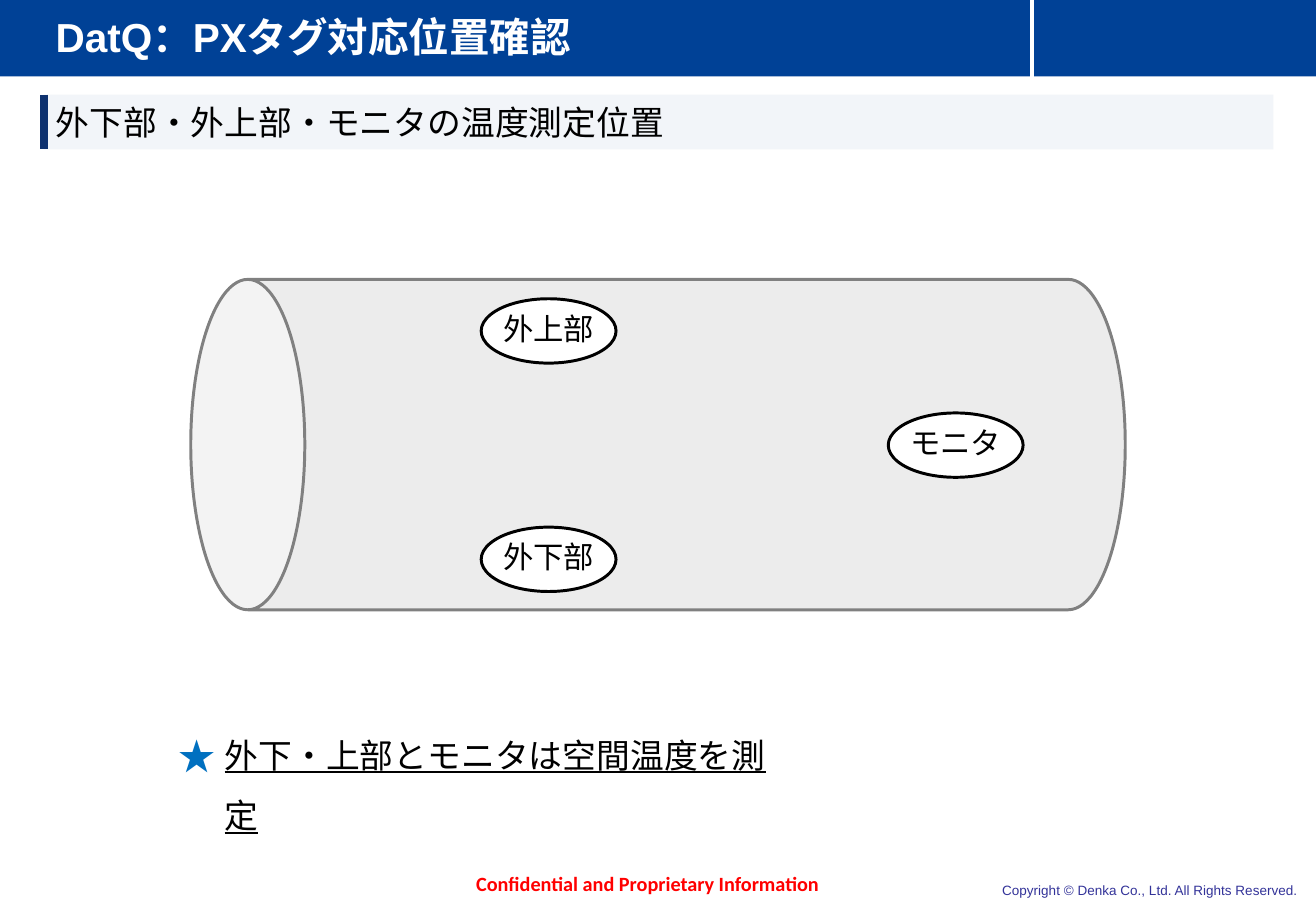
from lxml import etree
from pptx import Presentation
from pptx.dml.color import RGBColor
from pptx.enum.shapes import MSO_CONNECTOR, MSO_SHAPE
from pptx.enum.text import MSO_ANCHOR, PP_ALIGN
from pptx.oxml.ns import qn
from pptx.util import Inches, Pt

LEFT, CENTER, RIGHT = PP_ALIGN.LEFT, PP_ALIGN.CENTER, PP_ALIGN.RIGHT
MIDDLE = MSO_ANCHOR.MIDDLE
RECTANGLE, OVAL, CAN = MSO_SHAPE.RECTANGLE, MSO_SHAPE.OVAL, MSO_SHAPE.CAN
STRAIGHT = MSO_CONNECTOR.STRAIGHT
JAPANESE_FONT = "Noto Sans CJK JP"
COLORS = {
    "header": "004196", "white": "FFFFFF", "band": "F2F5F9", "accent": "0E326F",
    "black": "000000", "pipe": "BFBFBF", "pipe_edge": "808080", "star": "0070C0",
    "warning": "FF0000", "copyright": "333399",
}


def color(name):
    """Return the named colour of the palette."""
    return RGBColor.from_string(COLORS[name])


def add_block(slide, kind, box, fill, edge=None):
    """Add a filled preset shape with an optional outline."""
    block = slide.shapes.add_shape(kind, *map(Inches, box))
    block.shadow.inherit = False
    block.fill.solid()
    block.fill.fore_color.rgb = color(fill)
    if edge:
        block.line.color.rgb = color(edge)
        block.line.width = Pt(1.75)
    else:
        block.line.fill.background()
    return block


def add_rule(slide, x, top, bottom, tint, width):
    """Add a vertical line."""
    rule = slide.shapes.add_connector(STRAIGHT, *map(Inches, (x, top, x, bottom)))
    rule.line.color.rgb = color(tint)
    rule.line.width = Pt(width)
    etree.SubElement(rule._element.spPr, qn("a:effectLst"))


def add_star_bullet(paragraph, indent):
    """Give a paragraph a coloured star bullet with a hanging indent."""
    properties = paragraph._p.get_or_add_pPr()
    properties.set("marL", str(Inches(indent)))
    properties.set("indent", str(-Inches(indent)))
    tint = etree.SubElement(properties, qn("a:buClr"))
    etree.SubElement(tint, qn("a:srgbClr"), val=COLORS["star"])
    etree.SubElement(properties, qn("a:buSzPct"), val="110000")
    etree.SubElement(properties, qn("a:buFont"), typeface=JAPANESE_FONT)
    etree.SubElement(properties, qn("a:buChar"), char="★")


def write(holder, text, size, tint="black", face="Arial", asian=JAPANESE_FONT, bold=False,
          underline=False, align=LEFT, spacing=None, inset=None, star_indent=None):
    """Write one formatted paragraph into a shape."""
    frame = holder.text_frame
    frame.word_wrap = True
    frame.vertical_anchor = MIDDLE
    if inset is not None:
        frame.margin_left = frame.margin_right = Inches(inset)
        frame.margin_top = frame.margin_bottom = Inches(inset)
    paragraph = frame.paragraphs[0]
    if star_indent:
        add_star_bullet(paragraph, star_indent)
    paragraph.alignment = align
    if spacing:
        paragraph.line_spacing = spacing
    run = paragraph.add_run()
    run.text = text
    font = run.font
    font.size, font.name, font.bold, font.underline = Pt(size), face, bold, underline
    font.color.rgb = color(tint)
    latin = run._r.get_or_add_rPr().find(qn("a:latin"))
    latin.addnext(latin.makeelement(qn("a:ea"), {"typeface": asian}))


def add_label(slide, box, text, size, **style):
    """Add a text box holding one paragraph."""
    write(slide.shapes.add_textbox(*map(Inches, box)), text, size, **style)


def add_header(slide, box):
    """Draw the title bar with its divider."""
    left, top, width, height = box
    add_block(slide, RECTANGLE, box, "header")
    add_rule(slide, left + 8.5, top, top + 0.75, "white", 2.25)
    add_label(slide, (left + 0.37, top, 7.77, height), "DatQ：PXタグ対応位置確認", 24,
              tint="white", bold=True)


def add_section_heading(slide, box):
    """Draw the pale heading band with its accent edge."""
    left, top, width, height = box
    band = add_block(slide, RECTANGLE, box, "band")
    write(band, "外下部・外上部・モニタの温度測定位置", 20, face=JAPANESE_FONT)
    add_rule(slide, left, top, top + height, "accent", 5)


def add_pipe(slide, box):
    """Draw the lying pipe with its measuring points."""
    left, top, width, height = box
    upright = (left + (width - height) / 2, top + (height - width) / 2, height, width)
    pipe = add_block(slide, CAN, upright, "pipe", "pipe_edge")
    pipe.rotation = 270
    pipe.adjustments[0] = 0.345
    tint = pipe._element.spPr.find(qn("a:solidFill"))[0]
    etree.SubElement(tint, qn("a:alpha"), val="29000")
    points = (("外上部", 2.39, 0.16), ("外下部", 2.39, 2.04), ("モニタ", 5.74, 1.1))
    for name, across, down in points:
        point = add_block(slide, OVAL, (left + across, top + down, 1.11, 0.53),
                          "white", "black")
        write(point, name, 18, align=CENTER, spacing=0.85, inset=0)


def add_footer(slide, box):
    """Write the confidentiality mark and the copyright line."""
    left, top, width, height = box
    add_label(slide, (left, top, 3.19, height), "Confidential and Proprietary Information", 12,
              tint="warning", face="Calibri", bold=True, spacing=0.85)
    add_label(slide, (left + width - 3.47, top + 0.06, 3.47, 0.24),
              "Copyright © Denka Co., Ltd. All Rights Reserved.", 8,
              tint="copyright", align=RIGHT)


def main():
    """Build and save the slide."""
    deck = Presentation()
    deck.slide_width, deck.slide_height = Inches(10.83), Inches(7.5)
    slide = deck.slides.add_slide(deck.slide_layouts[6])
    add_footer(slide, (3.82, 7.15, 6.96, 0.27))
    add_header(slide, (-0.01, -0.03, 10.84, 0.66))
    add_section_heading(slide, (0.36, 0.78, 10.12, 0.45))
    add_pipe(slide, (1.57, 2.3, 7.69, 2.72))
    add_label(slide, (1.37, 6.11, 5.19, 0.54), "外下・上部とモニタは空間温度を測定", 20,
              asian="Arial", underline=True, spacing=1.5, star_indent=0.38)
    deck.save("out.pptx")


if __name__ == "__main__":
    main()
